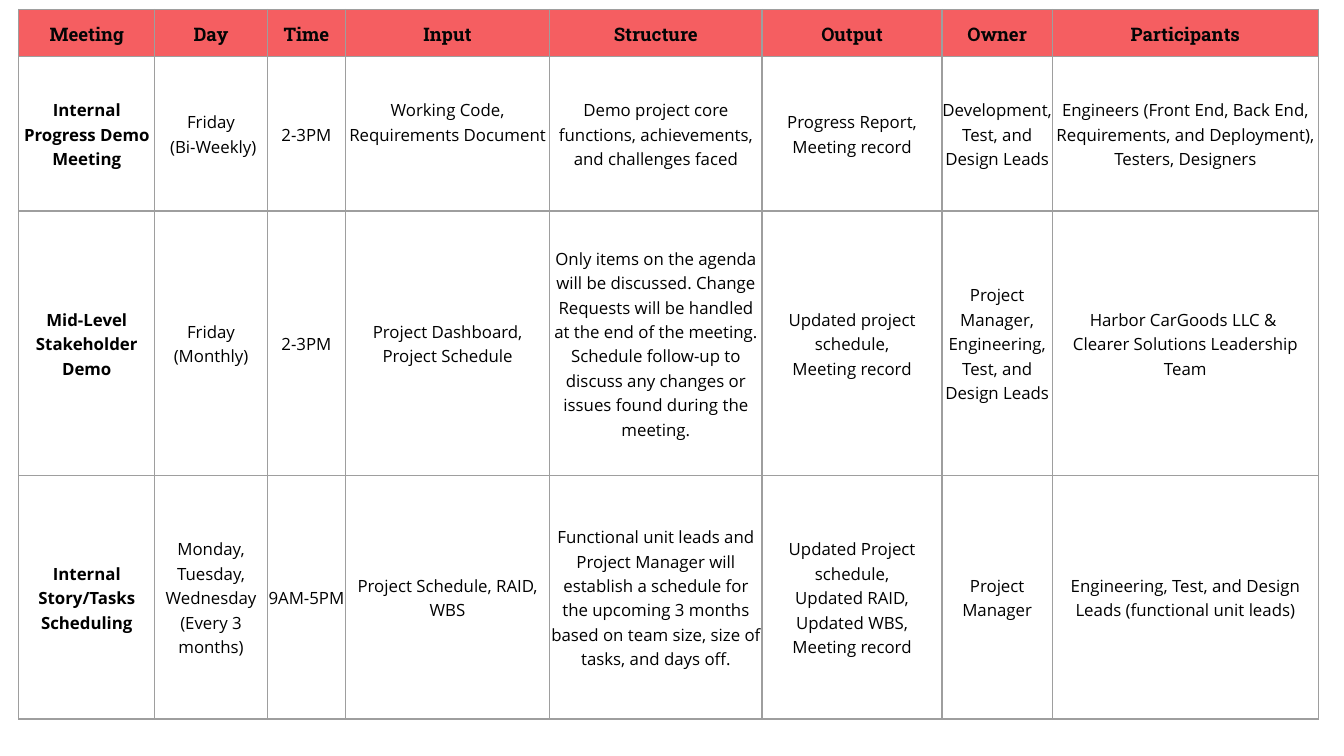
from copy import deepcopy

from lxml import etree
from pptx import Presentation
from pptx.dml.color import RGBColor
from pptx.enum.text import MSO_ANCHOR, PP_ALIGN
from pptx.oxml.ns import qn
from pptx.util import Inches, Pt

CENTER = PP_ALIGN.CENTER
MIDDLE = MSO_ANCHOR.MIDDLE

THEME = {
    "head": {"font": "Roboto Slab", "size": 10, "color": "030505", "bold": True},
    "name": {"font": "Open Sans", "size": 9, "color": "000000", "bold": True},
    "body": {"font": "Open Sans", "size": 9, "color": "000000", "bold": False},
    "fill": "F55E61",
    "line": "9E9E9E",
    "width": 0.75,
    "leading": 1.07,
}

WIDE = Inches(10)
LEFT, TOP = 0.14, 0.07
WIDTHS = [1.01, 0.84, 0.58, 1.52, 1.58, 1.34, 0.82, 1.98]
HEIGHTS = [0.35, 1.15, 1.97, 1.81]
LIFTS = {(1, 3): 0.18}

ROWS = [
    ["Meeting", "Day", "Time", "Input", "Structure", "Output", "Owner", "Participants"],
    [
        "Internal Progress Demo Meeting",
        "Friday\v (Bi-Weekly)",
        "2-3PM",
        "Working Code, Requirements Document",
        "Demo project core functions, achievements, and challenges faced",
        "Progress Report,\nMeeting record",
        "Development, Test, and Design Leads",
        "Engineers (Front End, Back End, Requirements, and Deployment), "
        "Testers, Designers",
    ],
    [
        "Mid-Level Stakeholder Demo",
        "Friday (Monthly)",
        "2-3PM",
        "Project Dashboard, Project Schedule",
        "Only items on the agenda will be discussed. Change Requests will be "
        "handled at the end of the meeting. Schedule follow-up to discuss any "
        "changes or issues found during the meeting.",
        "Updated project schedule,\nMeeting record",
        "Project Manager, Engineering, Test, and Design Leads",
        "Harbor CarGoods LLC & \vClearer Solutions Leadership Team",
    ],
    [
        "Internal Story/Tasks Scheduling",
        "Monday, Tuesday, Wednesday (Every 3 months)",
        "9AM-5PM",
        "Project Schedule, RAID, WBS",
        "Functional unit leads and Project Manager will establish a schedule for "
        "the upcoming 3 months based on team size, size of tasks, and days off.",
        "Updated Project schedule,\nUpdated RAID,\nUpdated WBS,\nMeeting record",
        "Project Manager",
        "Engineering, Test, and Design Leads (functional unit leads)",
    ],
]


def write(cell, text, font, size, color, bold):
    frame = cell.text_frame
    frame.text = text
    for para in frame.paragraphs:
        para.alignment = CENTER
        para.line_spacing = THEME["leading"]
        for run in para.runs:
            run.font.name = font
            run.font.size = Pt(size)
            run.font.bold = bold
            run.font.color.rgb = RGBColor.from_string(color)
        for brk in para._p.findall(qn("a:br")):
            brk.append(deepcopy(para.runs[0]._r.rPr))


def border(cell):
    props = cell._tc.get_or_add_tcPr()
    for place, side in enumerate(("a:lnL", "a:lnR", "a:lnT", "a:lnB")):
        line = etree.Element(qn(side), w=str(Pt(THEME["width"])))
        fill = etree.SubElement(line, qn("a:solidFill"))
        etree.SubElement(fill, qn("a:srgbClr"), val=THEME["line"])
        props.insert(place, line)


def style(cell, row, col):
    cell.vertical_anchor = MIDDLE
    cell.margin_left = cell.margin_right = cell.margin_top = 0
    cell.margin_bottom = Inches(LIFTS.get((row, col), 0))
    if row == 0:
        cell.fill.solid()
        cell.fill.fore_color.rgb = RGBColor.from_string(THEME["fill"])
    else:
        cell.fill.background()
    border(cell)


def main():
    deck = Presentation()
    deck.slide_width, deck.slide_height = WIDE, WIDE * 9 // 16
    slide = deck.slides.add_slide(deck.slide_layouts[6])
    table = slide.shapes.add_table(
        len(HEIGHTS), len(WIDTHS), Inches(LEFT), Inches(TOP),
        Inches(sum(WIDTHS)), Inches(sum(HEIGHTS)),
    ).table
    table.horz_banding = False
    for column, width in zip(table.columns, WIDTHS):
        column.width = Inches(width)
    for line, height in zip(table.rows, HEIGHTS):
        line.height = Inches(height)
    for row, texts in enumerate(ROWS):
        for col, text in enumerate(texts):
            cell = table.cell(row, col)
            kind = "head" if row == 0 else "name" if col == 0 else "body"
            write(cell, text, **THEME[kind])
            style(cell, row, col)
    deck.save("out.pptx")


if __name__ == "__main__":
    main()
